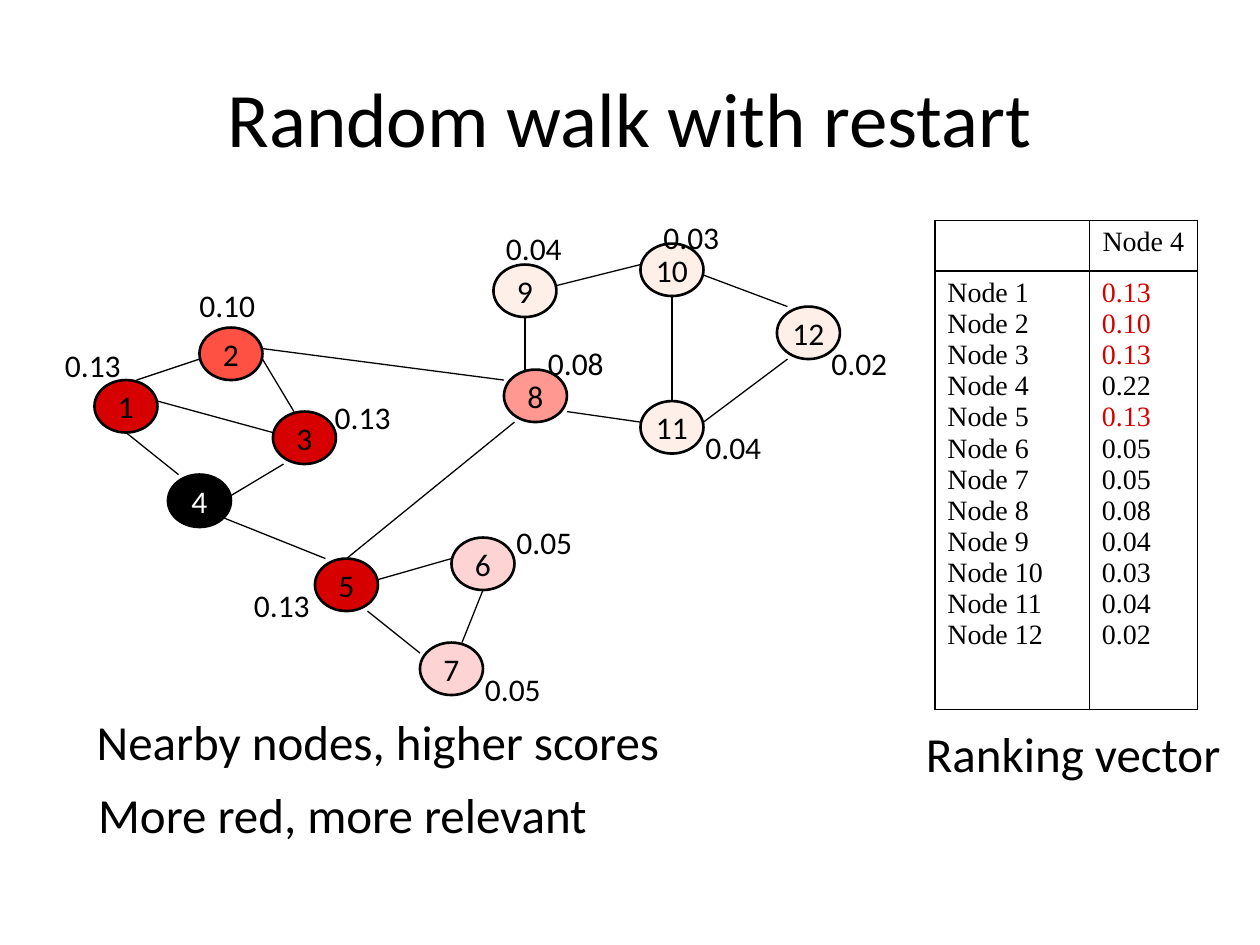
"""Build the slide on random walk with restart: scored graph, ranking table, captions."""
from lxml.etree import SubElement
from pptx import Presentation
from pptx.dml.color import RGBColor
from pptx.enum.shapes import MSO_CONNECTOR, MSO_SHAPE
from pptx.enum.text import MSO_ANCHOR as Anchor, MSO_AUTO_SIZE as AutoSize, PP_ALIGN as Align
from pptx.oxml import parse_xml
from pptx.oxml.ns import nsdecls, qn
from pptx.util import Pt

BLACK = RGBColor(0x00, 0x00, 0x00)
WHITE = RGBColor(0xFF, 0xFF, 0xFF)
RED = RGBColor(0xD6, 0x00, 0x00)
CORAL = RGBColor(0xFE, 0x51, 0x44)
SALMON = RGBColor(0xFE, 0x98, 0x90)
PINK = RGBColor(0xFD, 0xD4, 0xD3)
CREAM = RGBColor(0xFE, 0xEF, 0xE8)

SANS, SERIF = "Calibri", "Times New Roman"
GRID, GRID_TOP = 6, 1.2
NODE_WIDTH, NODE_HEIGHT = 6 * GRID, 5 * GRID

TITLE = "Random walk with restart"
START_NODE = 4
SCORES = ["0.13", "0.10", "0.13", "0.22", "0.13", "0.05",
          "0.05", "0.08", "0.04", "0.03", "0.04", "0.02"]
HIGH_SCORE = 0.10

# node: (grid column, grid row, fill, score position in points)
NODES = {
    1: (9, 36, RED, (30, 194.4)),
    2: (19, 31, CORAL, (106.8, 159.8)),
    3: (26, 39, RED, (184.2, 224)),
    4: (16, 45, BLACK, None),
    5: (30, 53, RED, (138, 331.2)),
    6: (43, 51, PINK, (288, 295.2)),
    7: (40, 61, PINK, (270, 379.2)),
    8: (48, 35, SALMON, (306, 193.2)),
    9: (47, 25, CREAM, (282, 127.2)),
    10: (61, 23, CREAM, (372, 121.2)),
    11: (61, 38, CREAM, (396, 241.2)),
    12: (74, 29, CREAM, (468, 193.2)),
}
EDGES = [
    ((12, 41), (17, 45)), ((15, 38), (26, 41)), ((13, 36), (19, 34)),
    ((25, 34), (28, 39)), ((22, 47), (27, 44)), ((21, 49), (31, 53)),
    ((36, 55), (43, 53)), ((35, 58), (40, 62)), ((46, 56), (44, 61)),
    ((54, 39), (61, 40)), ((67, 40), (75, 34)), ((67, 26), (75, 29)),
    ((53, 27), (61, 25)), ((50, 30), (50, 35)), ((64, 28), (64, 38)),
    ((25, 33), (48, 36)), ((33, 53), (49, 40)),
]
CAPTIONS = [
    ("Ranking vector", 522, 409.7, 209.5),
    ("More red, more relevant", 49, 445, 314),
    ("Nearby nodes, higher scores", 48.2, 403.2, 373),
]
TABLE_BOX = (534.2, 126, 150, 276.5)
COLUMN_WIDTHS = (88.3, 61.7)
ROW_HEIGHTS = (25.9, 250.6)
TABLE_LINE = 17.8


def grid_point(column, row):
    return Pt(column * GRID), Pt(row * GRID + GRID_TOP)


def style(paragraph, size, font=SANS, color=BLACK, align=Align.LEFT):
    paragraph.alignment = align
    for run in paragraph.runs:
        run.font.size = Pt(size)
        run.font.name = font
        run.font.color.rgb = color


def add_label(slide, text, box, size):
    label = slide.shapes.add_textbox(*map(Pt, box))
    frame = label.text_frame
    frame.word_wrap = False
    frame.auto_size = AutoSize.SHAPE_TO_FIT_TEXT
    frame.text = text
    style(frame.paragraphs[0], size)


def add_title(slide):
    title = slide.shapes.add_textbox(Pt(36), Pt(21.6), Pt(648), Pt(90))
    frame = title.text_frame
    frame.word_wrap = True
    frame.vertical_anchor = Anchor.MIDDLE
    frame.text = TITLE
    style(frame.paragraphs[0], 44, align=Align.CENTER)


def add_node(slide, number, column, row, fill):
    node = slide.shapes.add_shape(MSO_SHAPE.OVAL, *grid_point(column, row),
                                  Pt(NODE_WIDTH), Pt(NODE_HEIGHT))
    node.shadow.inherit = False
    node.fill.solid()
    node.fill.fore_color.rgb = fill
    node.line.color.rgb = BLACK
    node.line.width = Pt(1.5)
    frame = node.text_frame
    frame.word_wrap = False
    frame.vertical_anchor = Anchor.MIDDLE
    frame.text = str(number)
    style(frame.paragraphs[0], 18, color=WHITE if number == START_NODE else BLACK,
          align=Align.CENTER)


def add_edge(slide, start, end):
    edge = slide.shapes.add_connector(MSO_CONNECTOR.STRAIGHT,
                                      *grid_point(*start), *grid_point(*end))
    edge.line.color.rgb = BLACK
    edge.line.width = Pt(0.75)
    SubElement(edge._element.spPr, qn("a:effectLst"))


def fill_cell(cell, lines, colors, align=Align.LEFT):
    cell.text = "\n".join(lines)
    for paragraph, color in zip(cell.text_frame.paragraphs, colors):
        paragraph.line_spacing = Pt(TABLE_LINE)
        style(paragraph, 16, SERIF, color, align)
    cell.fill.background()
    properties = cell._tc.get_or_add_tcPr()
    for position, side in enumerate(("lnL", "lnR", "lnT", "lnB")):
        properties.insert(position, parse_xml(
            f'<a:{side} {nsdecls("a")} w="{Pt(1)}"><a:solidFill>'
            f'<a:srgbClr val="{BLACK}"/></a:solidFill></a:{side}>'))


def add_ranking(slide):
    ranking = slide.shapes.add_table(2, 2, *map(Pt, TABLE_BOX)).table
    for column, width in zip(ranking.columns, COLUMN_WIDTHS):
        column.width = Pt(width)
    for row, height in zip(ranking.rows, ROW_HEIGHTS):
        row.height = Pt(height)
    names = [f"Node {number}" for number in NODES]
    score_colors = [
        RED if number != START_NODE and float(score) >= HIGH_SCORE else BLACK
        for number, score in zip(NODES, SCORES)]
    fill_cell(ranking.cell(0, 0), [""], [BLACK])
    fill_cell(ranking.cell(0, 1), [f"Node {START_NODE}"], [BLACK], Align.CENTER)
    fill_cell(ranking.cell(1, 0), names, [BLACK] * len(names))
    fill_cell(ranking.cell(1, 1), SCORES, score_colors)


def main():
    deck = Presentation()
    deck.slide_width, deck.slide_height = Pt(720), Pt(540)
    slide = deck.slides.add_slide(deck.slide_layouts[6])
    add_title(slide)
    add_ranking(slide)
    for number, (column, row, fill, _) in NODES.items():
        add_node(slide, number, column, row, fill)
    for start, end in EDGES:
        add_edge(slide, start, end)
    for score, (*_, position) in zip(SCORES, NODES.values()):
        if position:
            add_label(slide, score, (*position, 49.7, 29), 18)
    for text, left, top, width in CAPTIONS:
        add_label(slide, text, (left, top, width, 41), 28)
    deck.save("out.pptx")


if __name__ == "__main__":
    main()
